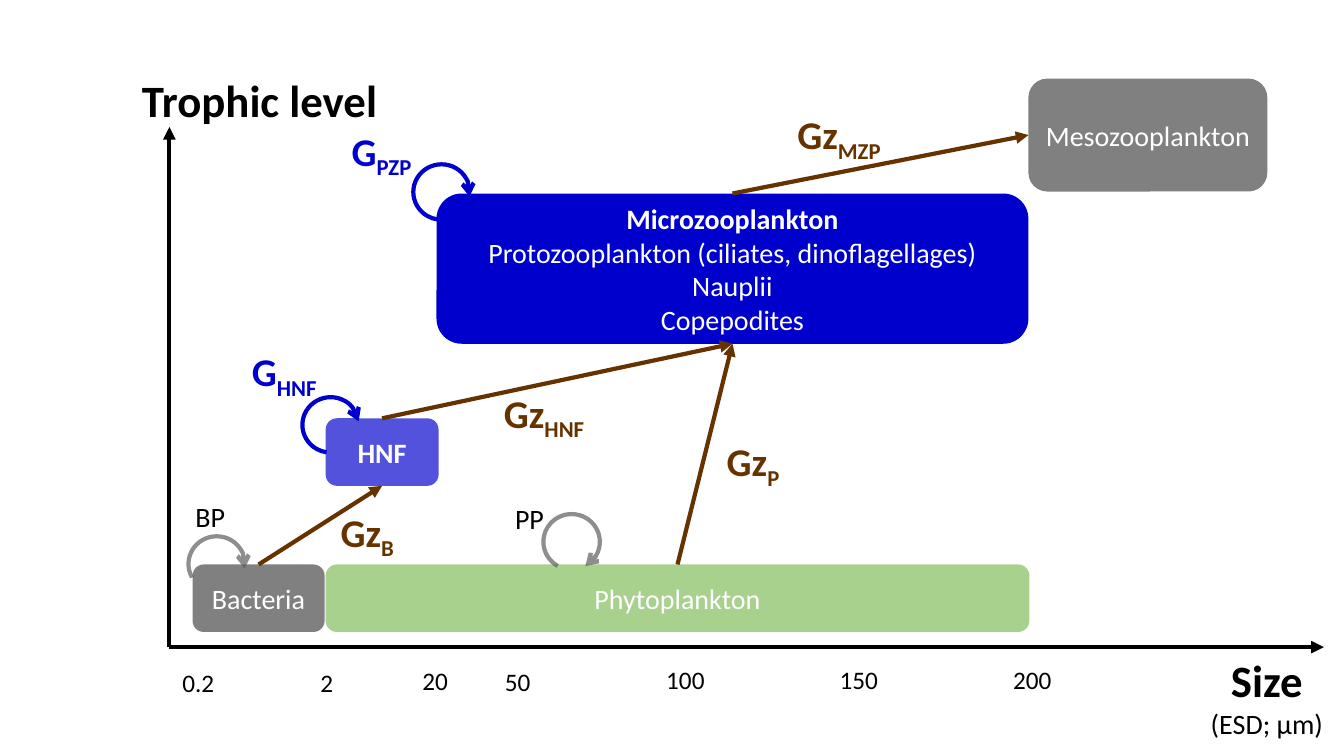
from dataclasses import dataclass

from lxml import etree
from pptx import Presentation
from pptx.dml.color import RGBColor
from pptx.enum import shapes as shp, text as txt
from pptx.oxml.ns import qn
from pptx.util import Inches, Pt

FONT = "Calibri"
BLACK, WHITE, GRAY, DARK_GRAY = "000000", "FFFFFF", "808080", "595959"
BLUE, GREEN, BROWN = "0000CC", "A9D18E", "663300"
TOP, LEFT, BOTTOM = 0, 1, 2  # connection sites of a rounded rectangle


@dataclass
class Group:
    """A plankton group drawn as a rounded box."""
    lines: list[str]
    left: float
    top: float
    width: float
    height: float
    fill: str
    opacity: int = 100
    bold_first: bool = False


@dataclass
class Flow:
    """A grazing arrow from one group to another."""
    source: str
    target: str
    from_site: int = TOP
    to_site: int = BOTTOM


@dataclass
class Loop:
    """A growth arc; angles in degrees, clockwise from the right."""
    left: float
    top: float
    start: float
    end: float
    color: str
    opacity: int = 100


@dataclass
class Label:
    """Free text with an optional subscript."""
    words: str
    left: float
    top: float
    width: float
    size: int
    color: str = BLACK
    bold: bool = False
    subscript: str = ""


GROUPS = {
    "bacteria": Group(["Bacteria"], 1.91, 5.6, 1.31, 0.67, GRAY),
    "phyto": Group(["Phytoplankton"], 3.23, 5.6, 6.98, 0.67, GREEN),
    "hnf": Group(["HNF"], 3.23, 4.15, 1.12, 0.67, BLUE, 68, True),
    "micro": Group(["Microzooplankton", "Protozooplankton (ciliates, dinoflagellages)",
                    "Nauplii", "Copepodites"], 4.33, 1.92, 5.87, 1.49, BLUE, 100, True),
    "meso": Group(["Mesozooplankton"], 10.2, 0.78, 2.37, 1.12, GRAY),
}
FLOWS = [
    Flow("bacteria", "hnf"),
    Flow("hnf", "micro"),
    Flow("phyto", "micro"),
    Flow("micro", "meso", to_site=LEFT),
]
LOOPS = [
    Loop(1.87, 5.32, 151.13, 9.16, DARK_GRAY, 68),
    Loop(5.39, 5.1, 119.94, 60.5, DARK_GRAY, 68),
    Loop(3, 3.94, 98.56, 352.58, BLUE),
    Loop(4.1, 1.63, 98.56, 9.16, BLUE),
]
TICKS = [
    Label("0.2", 1.71, 6.57, 0.6, 18),
    Label("2", 3.08, 6.57, 0.3, 18),
    Label("20", 4.09, 6.55, 0.48, 18),
    Label("50", 4.91, 6.56, 0.48, 18),
    Label("100", 6.51, 6.54, 0.6, 18),
    Label("150", 8.23, 6.54, 0.6, 18),
    Label("200", 9.95, 6.54, 0.6, 18),
]
RATES = [
    Label("BP", 1.84, 4.91, 0.65, 20),
    Label("PP", 5.01, 4.93, 0.6, 20),
    Label("G", 2.4, 3.4, 1.1, 28, BLUE, True, "HNF"),
    Label("G", 3.39, 1.21, 0.94, 28, BLUE, True, "PZP"),
    Label("Gz", 3.28, 4.99, 0.8, 28, BROWN, True, "B"),
    Label("Gz", 7.11, 4.29, 0.94, 28, BROWN, True, "P"),
    Label("Gz", 4.9, 3.81, 1.16, 28, BROWN, True, "HNF"),
    Label("Gz", 7.81, 1.05, 1.2, 28, BROWN, True, "MZP"),
]
TROPHIC_LEVEL = Label("Trophic level", 1.31, 0.67, 2.98, 32, bold=True)


def paint(color_format, color: str, opacity: int = 100) -> None:
    """Make a fill solid in a hex colour."""
    color_format.solid()
    color_format.fore_color.rgb = RGBColor.from_string(color)
    if opacity < 100:
        # The colour's element is the last one python-pptx wrote in the fill
        solid = color_format._xPr.find(qn("a:solidFill"))
        etree.SubElement(solid[0], qn("a:alpha")).set("val", str(opacity * 1000))


def write(paragraph, words: str, *, size: int, color: str = BLACK, bold: bool = False,
          subscript: bool = False, centered: bool = False) -> None:
    """Add a formatted run to a paragraph."""
    run = paragraph.add_run()
    run.text = words
    run.font.name, run.font.size, run.font.bold = FONT, Pt(size), bold
    paint(run.font.fill, color)
    if subscript:
        run.font._element.set("baseline", "-25000")
    if centered:
        paragraph.alignment = txt.PP_ALIGN.CENTER


def stroke(line, color: str, head: str, opacity: int = 100) -> None:
    """Format a line and give its end an arrowhead."""
    line.width = Pt(3)
    paint(line.fill, color, opacity)
    etree.SubElement(line._get_or_add_ln(), qn("a:tailEnd")).set("type", head)


def add_arrow(slide, color: str, start=(0, 0), end=(0, 0)):
    arrow = slide.shapes.add_connector(
        shp.MSO_CONNECTOR.STRAIGHT, *map(Inches, start), *map(Inches, end))
    stroke(arrow.line, color, "triangle")
    etree.SubElement(arrow._element.spPr, qn("a:effectLst"))
    return arrow


def add_group(slide, group: Group):
    box = slide.shapes.add_shape(
        shp.MSO_SHAPE.ROUNDED_RECTANGLE,
        *map(Inches, (group.left, group.top, group.width, group.height)))
    box.shadow.inherit = False
    paint(box.fill, group.fill, group.opacity)
    box.line.fill.background()
    frame = box.text_frame
    frame.vertical_anchor = txt.MSO_ANCHOR.MIDDLE
    for i, words in enumerate(group.lines):
        paragraph = frame.add_paragraph() if i else frame.paragraphs[0]
        write(paragraph, words, size=20, color=WHITE, centered=True,
              bold=group.bold_first and i == 0)
    return box


def add_loop(slide, loop: Loop) -> None:
    arc = slide.shapes.add_shape(
        shp.MSO_SHAPE.ARC, *map(Inches, (loop.left, loop.top, 0.56, 0.55)))
    arc.shadow.inherit = False
    arc.fill.background()
    for i, angle in enumerate((loop.start, loop.end)):
        arc.adjustments[i] = angle * 0.6  # 60000 units per degree, over 100000
    stroke(arc.line, loop.color, "arrow", loop.opacity)


def add_frame(slide, left: float, top: float, width: float, height: float):
    frame = slide.shapes.add_textbox(*map(Inches, (left, top, width, height))).text_frame
    frame.word_wrap = True
    return frame


def add_label(slide, label: Label) -> None:
    height = round(label.size * 1.2 / 72 + 0.1, 2)
    frame = add_frame(slide, label.left, label.top, label.width, height)
    for words, lowered in ((label.words, False), (label.subscript, True)):
        if words:
            write(frame.paragraphs[0], words, size=label.size, color=label.color,
                  bold=label.bold, subscript=lowered)


def main() -> None:
    prs = Presentation()
    prs.slide_width, prs.slide_height = Inches(13.33), Inches(7.5)
    slide = prs.slides.add_slide(prs.slide_layouts.get_by_name("Blank"))

    # Axes
    origin = (1.68, 6.42)
    for axis_end in ((13.13, 6.42), (1.68, 1.26)):
        add_arrow(slide, BLACK, origin, axis_end)

    # Plankton groups and the grazing between them
    boxes = {key: add_group(slide, group) for key, group in GROUPS.items()}
    for flow in FLOWS:
        arrow = add_arrow(slide, BROWN)
        arrow.begin_connect(boxes[flow.source], flow.from_site)
        arrow.end_connect(boxes[flow.target], flow.to_site)

    # Growth loops, size ticks and rate names
    for loop in LOOPS:
        add_loop(slide, loop)
    for label in (*TICKS, *RATES, TROPHIC_LEVEL):
        add_label(slide, label)

    # Size axis title with its unit
    size_axis = add_frame(slide, 11.87, 6.43, 1.39, 0.98)
    write(size_axis.paragraphs[0], "Size", size=32, bold=True, centered=True)
    write(size_axis.add_paragraph(), "(ESD; μm)", size=20, centered=True)

    prs.save("out.pptx")


if __name__ == "__main__":
    main()
